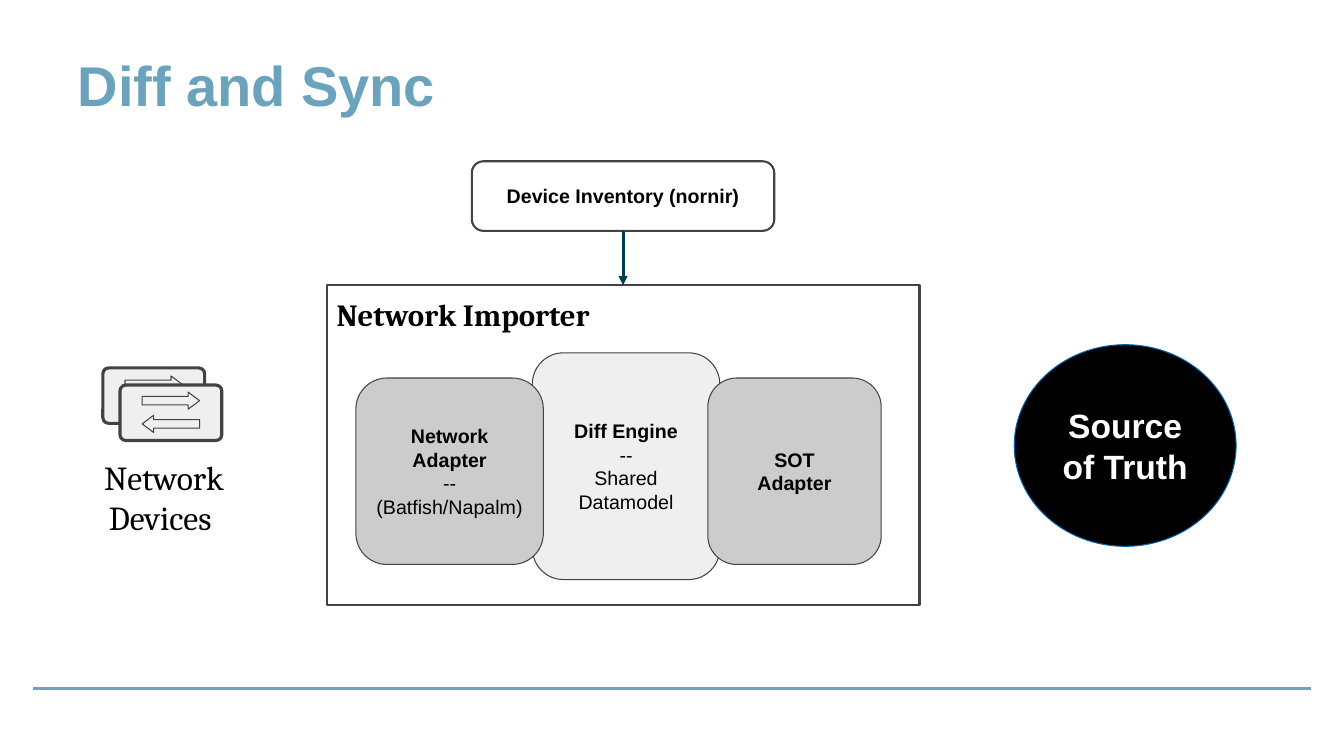
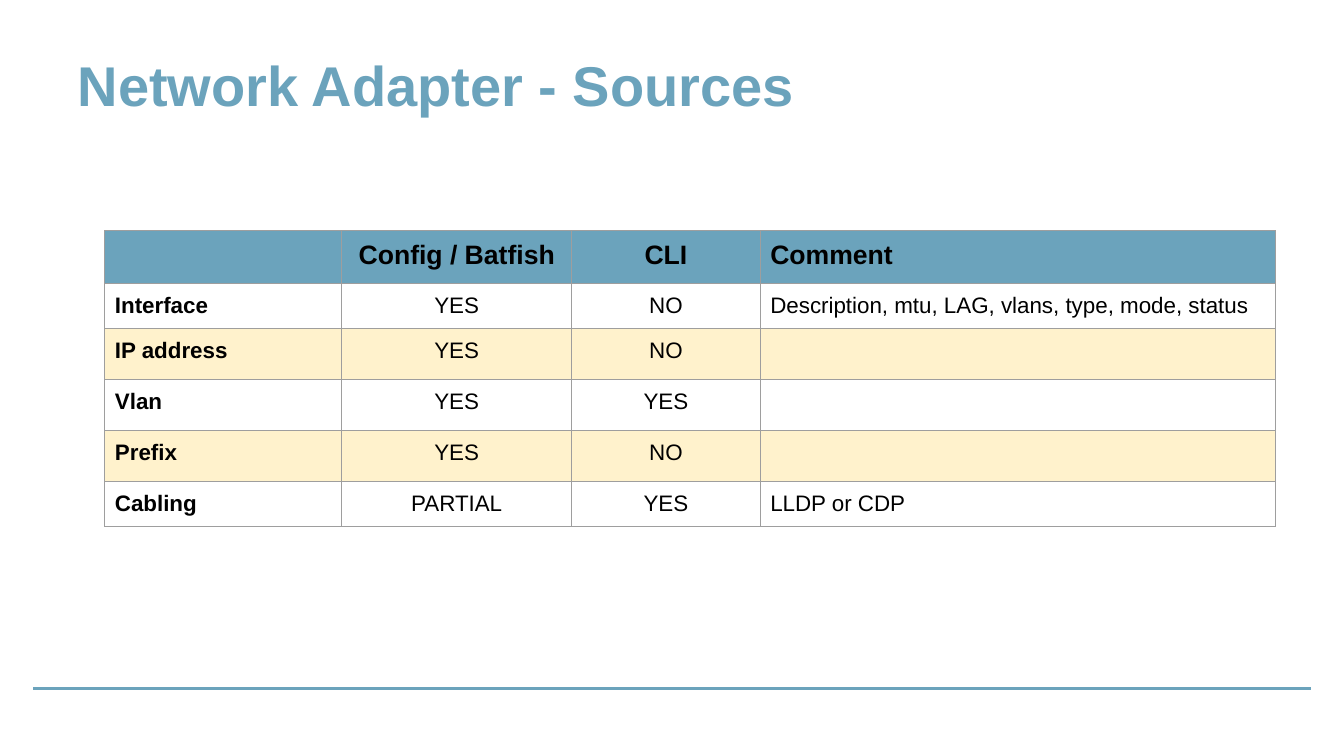
from lxml.etree import SubElement
from pptx import Presentation
from pptx.dml.color import RGBColor
from pptx.enum.shapes import MSO_CONNECTOR, MSO_SHAPE
from pptx.enum.text import MSO_ANCHOR, PP_ALIGN
from pptx.oxml import parse_xml
from pptx.oxml.ns import nsdecls, qn
from pptx.util import Inches, Pt


class Theme:
    accent = RGBColor.from_string("6BA3BC")
    ink = RGBColor.from_string("000000")
    white = RGBColor.from_string("FFFFFF")
    outline = RGBColor.from_string("434343")
    pale = RGBColor.from_string("EFEFEF")
    grey = RGBColor.from_string("CCCCCC")
    arrow = RGBColor.from_string("003E51")
    truth_edge = RGBColor.from_string("0063AE")
    band = RGBColor.from_string("FFF2CC")
    grid = "9E9E9E"
    sans = "Arial"
    serif = "Cambria"
    title_size = 40
    large_size = 24
    frame_size = 22
    header_size = 19
    cell_size = 16
    block_size = 14


def add_block(shapes, preset, box, fill=None, line=Theme.outline, width=0.75, adjust=()):
    block = shapes.add_shape(preset, *map(Inches, box))
    block.shadow.inherit = False
    if fill is None:
        block.fill.background()
    else:
        block.fill.solid()
        block.fill.fore_color.rgb = fill
    block.line.color.rgb = line
    block.line.width = Pt(width)
    for index, value in enumerate(adjust):
        block.adjustments[index] = value
    return block


def write(frame, lines, size, font=Theme.sans, color=Theme.ink,
          align=PP_ALIGN.CENTER, anchor=MSO_ANCHOR.MIDDLE, inset=0.1):
    frame.word_wrap = True
    frame.vertical_anchor = anchor
    frame.margin_left = frame.margin_right = Inches(inset)
    frame.margin_top = frame.margin_bottom = Inches(inset)
    for number, (text, bold) in enumerate(lines):
        paragraph = frame.paragraphs[0] if number == 0 else frame.add_paragraph()
        paragraph.alignment = align
        for part_number, part in enumerate(text.split("\n")):
            if part_number:
                paragraph.add_line_break()
            run = paragraph.add_run()
            run.text = part
            run.font.name = font
            run.font.size = Pt(size)
            run.font.bold = bold
            run.font.color.rgb = color


deck = Presentation()
deck.slide_width = Inches(13.33)
deck.slide_height = Inches(7.5)
layout = deck.slide_layouts[5]

slides = []
for heading in ("Diff and Sync", "Network Adapter - Sources"):
    slide = deck.slides.add_slide(layout)
    title = slide.shapes.title
    title.left, title.top, title.width, title.height = map(Inches, (0.67, 0.25, 12, 1.25))
    write(title.text_frame, [(heading, True)], Theme.title_size, color=Theme.accent,
          align=PP_ALIGN.LEFT)
    title.text_frame.paragraphs[0].line_spacing = 0.9
    slides.append(slide)
diagram_slide, sources_slide = slides
shapes = diagram_slide.shapes

footer_rule = shapes.add_connector(
    MSO_CONNECTOR.STRAIGHT, Inches(0.33), Inches(6.83), Inches(13), Inches(6.83))
footer_rule.line.color.rgb = Theme.accent
footer_rule.line.width = Pt(1.5)
SubElement(footer_rule._element.spPr, qn("a:effectLst"))
layout.shapes._spTree.append(footer_rule._element)

importer = add_block(shapes, MSO_SHAPE.RECTANGLE, (3.24, 2.83, 5.88, 3.17), width=1.5)
write(importer.text_frame, [("Network Importer", True)], Theme.frame_size, Theme.serif,
      align=PP_ALIGN.LEFT, anchor=MSO_ANCHOR.TOP)

device_cards = [
    (1.02, 3.65, [(0.08, 0)]),
    (1.19, 3.82, [(0.3, 180), (0.07, 0)]),
]
for left, top, arrows in device_cards:
    device = shapes.add_group_shape()
    add_block(device.shapes, MSO_SHAPE.ROUNDED_RECTANGLE, (left, top, 1.01, 0.55),
              Theme.pale, width=2.25, adjust=(0.105,))
    for offset, rotation in arrows:
        flow = add_block(device.shapes, MSO_SHAPE.RIGHT_ARROW,
                         (left + 0.22, top + offset, 0.57, 0.17),
                         Theme.pale, adjust=(0.5, 0.667))
        flow.rotation = rotation

devices_label = shapes.add_textbox(*map(Inches, (0.55, 4.5, 2.15, 0.86)))
write(devices_label.text_frame, [("Network Devices ", False)], Theme.large_size, Theme.serif)

truth = add_block(shapes, MSO_SHAPE.OVAL, (10.06, 3.42, 2.2, 2), Theme.ink, Theme.truth_edge)
write(truth.text_frame, [("Source of Truth", True)], Theme.large_size,
      color=Theme.white, inset=0.13)

inventory = add_block(shapes, MSO_SHAPE.FLOWCHART_ALTERNATE_PROCESS,
                      (4.68, 1.6, 3, 0.69), width=1.5)
write(inventory.text_frame, [("Device Inventory (nornir)", True)], Theme.block_size)

feed = shapes.add_connector(
    MSO_CONNECTOR.STRAIGHT, Inches(6.18), Inches(2.29), Inches(6.18), Inches(2.83))
feed.begin_connect(inventory, 2)
feed.end_connect(importer, 0)
feed.line.color.rgb = Theme.arrow
feed.line.width = Pt(2.25)
SubElement(feed.line._get_or_add_ln(), qn("a:tailEnd"), type="triangle")
SubElement(feed._element.spPr, qn("a:effectLst"))

engine_parts = [
    ((5.28, 3.5, 1.86, 2.25), Theme.pale,
     [("Diff Engine", True), ("--", False), ("Shared\nDatamodel", False)]),
    ((3.53, 3.75, 1.86, 1.85), Theme.grey,
     [("Network", True), ("Adapter", True), ("--", False), ("(Batfish/Napalm)", False)]),
    ((7.02, 3.75, 1.72, 1.85), Theme.grey, [("SOT\nAdapter", True)]),
]
for box, fill, lines in engine_parts:
    part = add_block(shapes, MSO_SHAPE.FLOWCHART_ALTERNATE_PROCESS, box, fill)
    write(part.text_frame, lines, Theme.block_size)

source_rows = [
    ("", "Config / Batfish", "CLI", "Comment"),
    ("Interface", "YES", "NO", "Description, mtu, LAG, vlans, type, mode, status"),
    ("IP address", "YES", "NO", ""),
    ("Vlan", "YES", "YES", ""),
    ("Prefix", "YES", "NO", ""),
    ("Cabling", "PARTIAL", "YES", "LLDP or CDP"),
]
column_widths = (2.35, 2.28, 1.87, 5.11)
row_heights = (0.52, 0.45, 0.48, 0.48, 0.48, 0.45)
sources = sources_slide.shapes.add_table(
    len(source_rows), len(column_widths), Inches(1.04), Inches(2.29),
    Inches(sum(column_widths)), Inches(sum(row_heights))).table
sources.first_row = False
sources.horz_banding = False
for column, width in zip(sources.columns, column_widths):
    column.width = Inches(width)
for row, height in zip(sources.rows, row_heights):
    row.height = Inches(height)

for row_number, row_texts in enumerate(source_rows):
    is_header = row_number == 0
    for column_number, text in enumerate(row_texts):
        cell = sources.cell(row_number, column_number)
        cell.margin_left = cell.margin_right = Inches(0.1)
        cell.margin_top = cell.margin_bottom = Inches(0.1)
        if is_header or row_number % 2 == 0:
            cell.fill.solid()
            cell.fill.fore_color.rgb = Theme.accent if is_header else Theme.band
        else:
            cell.fill.background()
        if text:
            write(cell.text_frame, [(text, is_header or column_number == 0)],
                  Theme.header_size if is_header else Theme.cell_size,
                  align=PP_ALIGN.CENTER if column_number in (1, 2) else PP_ALIGN.LEFT,
                  anchor=MSO_ANCHOR.TOP)
            cell.vertical_anchor = MSO_ANCHOR.TOP
        for position, side in enumerate("LRTB"):
            cell._tc.get_or_add_tcPr().insert(position, parse_xml(
                f'<a:ln{side} {nsdecls("a")} w="{Pt(0.75)}"><a:solidFill>'
                f'<a:srgbClr val="{Theme.grid}"/></a:solidFill></a:ln{side}>'))

deck.save("out.pptx")
